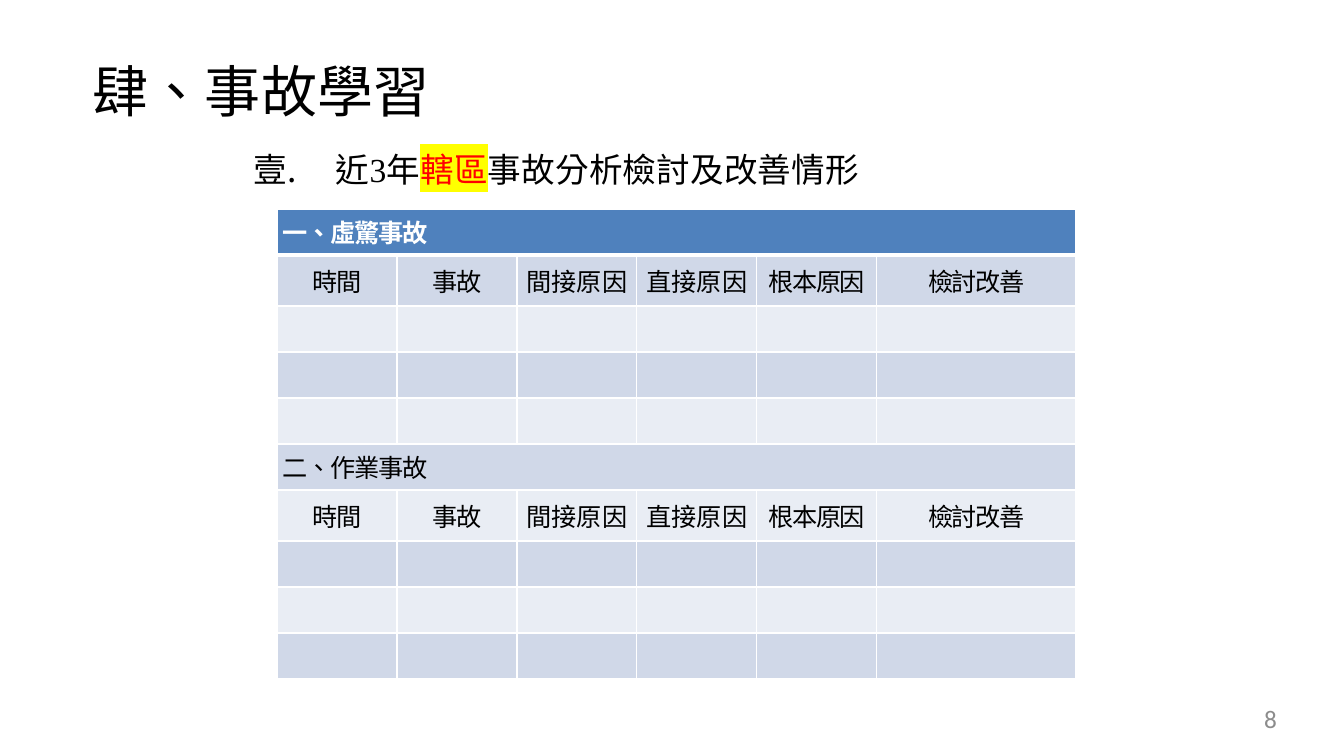
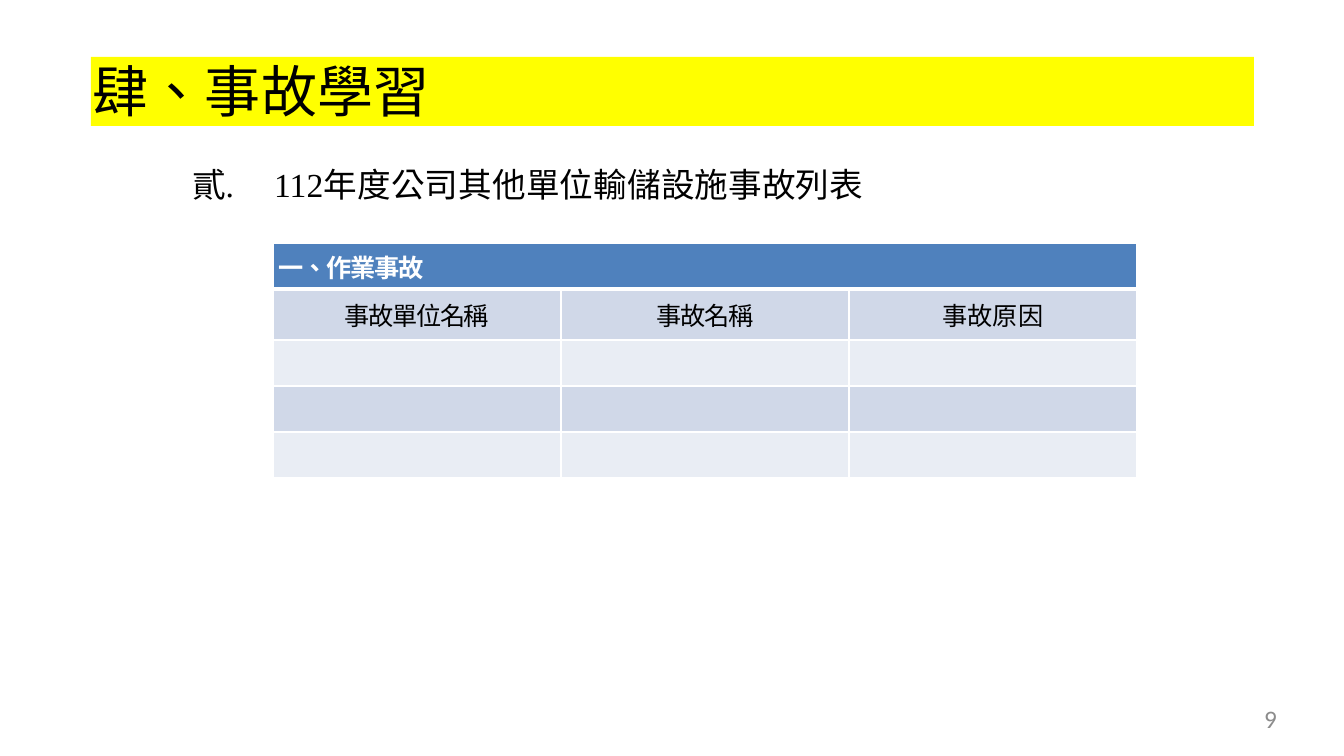
import pptx
import pptx.util
import pptx.dml.color
import pptx.enum.text
import pptx.oxml.ns
import lxml.etree

RGB = pptx.dml.color.RGBColor
BLACK = RGB(0x00, 0x00, 0x00)
WHITE = RGB(0xFF, 0xFF, 0xFF)
RED = RGB(0xFF, 0x00, 0x00)
YELLOW = RGB(0xFF, 0xFF, 0x00)
GRAY = RGB(0x8C, 0x8C, 0x8C)
BLUE = RGB(0x4F, 0x81, 0xBD)
BANDS = [RGB(0xE9, 0xED, 0xF4), RGB(0xD0, 0xD8, 0xE8)]

SERIF = "Times New Roman"
SANS = "Noto Sans CJK SC"
SCALE = 914400 / 100.8
ALIGN = pptx.enum.text.PP_ALIGN
ROW = 46
HEAD = 51

CAUSES = ["時間", "事故", "間接原因", "直接原因", "根本原因", "檢討改善"]
UNITS = ["事故單位名稱", "事故名稱", "事故原因"]
LOOSE = ["間接原因", "直接原因", "事故原因"]

SLIDES = [
    {
        "page": "8",
        "fill": None,
        "list": (252, 149, 714, 1),
        "runs": [("近3年", False), ("轄區", True), ("事故分析檢討及改善情形", False)],
        "grid": (277, 209),
        "cols": [120] * 5 + [199],
        "rows": [["一、虛驚事故"], CAUSES, [], [], [],
                 ["二、作業事故"], CAUSES, [], [], []],
    },
    {
        "page": "9",
        "fill": YELLOW,
        "list": (190, 164, 1032, 2),
        "runs": [("112年度公司其他單位輸儲設施事故列表", False)],
        "grid": (273, 243),
        "cols": [288] * 3,
        "rows": [["一、作業事故"], UNITS, [], [], []],
    },
]


def px(num):
    return pptx.util.Emu(round(num * SCALE))


def write(para, runs, size, face, color, space=0, bold=False):
    font = para.font
    font.size = pptx.util.Pt(size)
    font.name = face
    font.bold = bold
    font.color.rgb = color
    for text, mark in runs:
        run = para.add_run()
        run.text = text
        prop = run._r.get_or_add_rPr()
        prop.set("lang", "zh-TW")
        prop.set("spc", str(space))
        if mark:
            run.font.color.rgb = RED
            high = lxml.etree.SubElement(prop, pptx.oxml.ns.qn("a:highlight"))
            tint = lxml.etree.SubElement(high, pptx.oxml.ns.qn("a:srgbClr"))
            tint.set("val", str(YELLOW))
        east = lxml.etree.SubElement(prop, pptx.oxml.ns.qn("a:ea"))
        east.set("typeface", SANS)


deck = pptx.Presentation()
deck.slide_width = px(1344)
deck.slide_height = px(756)

for plan in SLIDES:
    slide = deck.slides.add_slide(deck.slide_layouts[6])
    left, top, width, start = plan["list"]
    boxes = []
    for area in [(91, 57, 1163, 69), (968, 703, 309, 30), (left, top, width, 40)]:
        box = slide.shapes.add_textbox(*[px(num) for num in area])
        frame = box.text_frame
        frame.word_wrap = True
        frame.margin_left = frame.margin_right = 0
        frame.margin_top = frame.margin_bottom = 0
        boxes.append(box)
    title, page, point = boxes

    if plan["fill"]:
        title.fill.solid()
        title.fill.fore_color.rgb = plan["fill"]
    para = title.text_frame.paragraphs[0]
    para._p.get_or_add_pPr().set("marL", str(px(2)))
    write(para, [("肆、事故學習", False)], 40, SERIF, BLACK, 10)

    para = page.text_frame.paragraphs[0]
    para.alignment = ALIGN.RIGHT
    write(para, [(plan["page"], False)], 18, "Calibri", GRAY)

    para = point.text_frame.paragraphs[0]
    prop = para._p.get_or_add_pPr()
    prop.set("marL", str(px(84)))
    prop.set("indent", str(px(-82)))
    auto = lxml.etree.SubElement(prop, pptx.oxml.ns.qn("a:buAutoNum"))
    auto.set("type", "ea1ChtPeriod")
    auto.set("startAt", str(start))
    write(para, plan["runs"], 24, SERIF, BLACK, 10)

    cols, rows = plan["cols"], plan["rows"]
    highs = [HEAD if len(row) > 1 else ROW for row in rows]
    left, top = plan["grid"]
    grid = slide.shapes.add_table(len(rows), len(cols), px(left), px(top),
                                  px(sum(cols)), px(sum(highs))).table
    for col, width in zip(grid.columns, cols):
        col.width = px(width)
    for at, texts in enumerate(rows):
        grid.rows[at].height = px(highs[at])
        for spot in range(len(cols)):
            cell = grid.cell(at, spot)
            cell.margin_left = cell.margin_right = px(6)
            cell.margin_top = cell.margin_bottom = px(3)
            cell.vertical_anchor = pptx.enum.text.MSO_ANCHOR.MIDDLE
            prop = cell._tc.get_or_add_tcPr()
            for side in "LRTB":
                if side == "T" and at == 1:
                    continue
                line = lxml.etree.SubElement(prop, pptx.oxml.ns.qn("a:ln" + side))
                thick = 3 if side == "B" and at == 0 else 1
                line.set("w", str(pptx.util.Pt(thick)))
                solid = lxml.etree.SubElement(line, pptx.oxml.ns.qn("a:solidFill"))
                tint = lxml.etree.SubElement(solid, pptx.oxml.ns.qn("a:srgbClr"))
                tint.set("val", str(WHITE))
            cell.fill.solid()
            cell.fill.fore_color.rgb = BANDS[at % 2] if at else BLUE
            if spot < len(texts):
                text = texts[spot]
                para = cell.text_frame.paragraphs[0]
                if len(texts) > 1:
                    para.alignment = ALIGN.CENTER
                write(para, [(text, False)], 18, SANS, BLACK if at else WHITE,
                      0 if text in LOOSE else -100, at == 0)
        if len(texts) == 1:
            grid.cell(at, 0).merge(grid.cell(at, len(cols) - 1))

deck.save("out.pptx")
